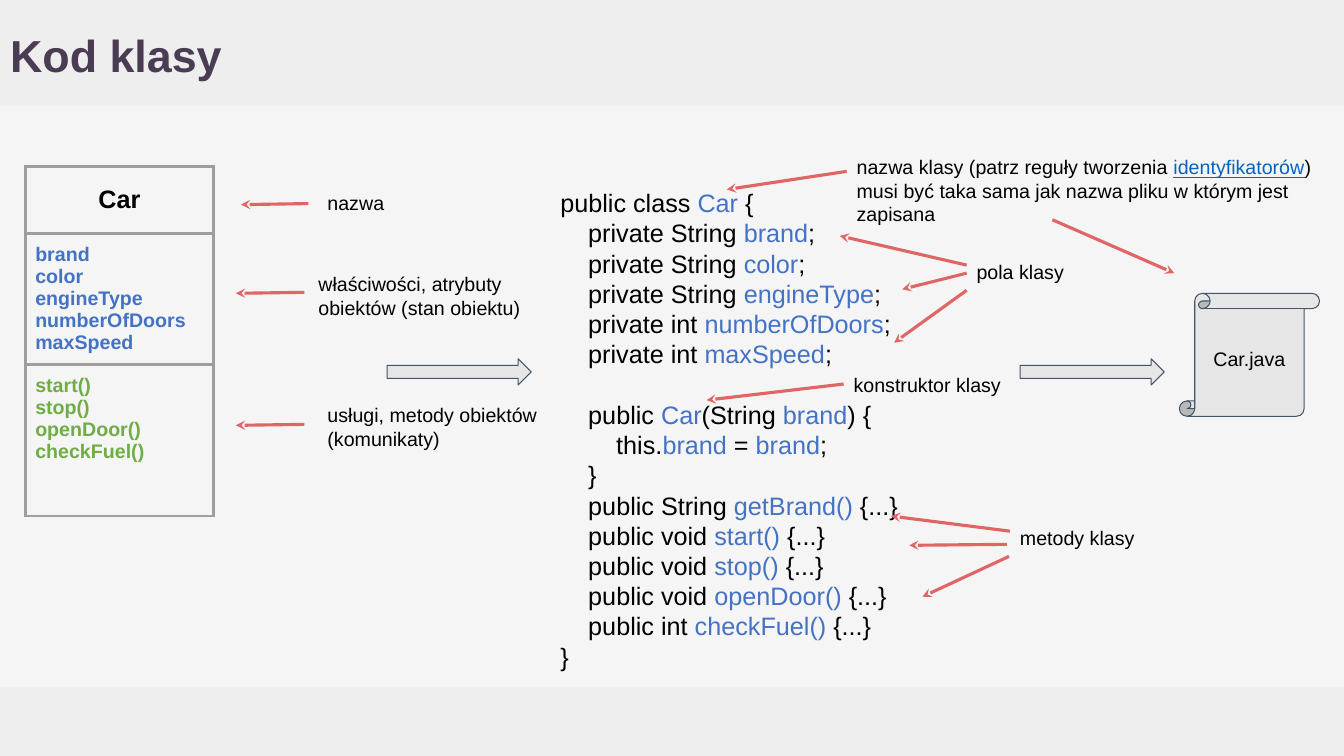
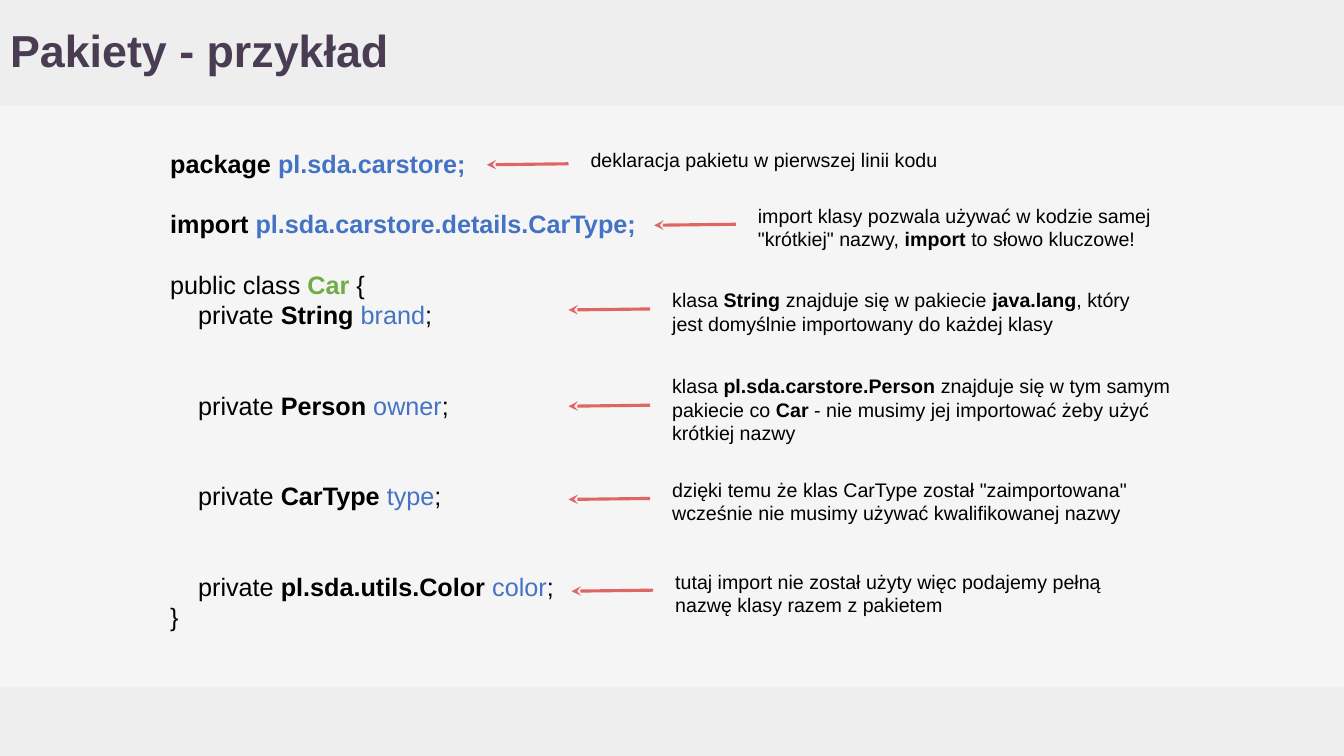
import pptx
import pptx.util
import pptx.dml.color
import pptx.enum.shapes
import pptx.enum.text
import pptx.oxml
import pptx.oxml.ns

# Grid: 133.33 columns by 75 rows of square cells
COLS, ROWS = 133.33, 75
CELL = pptx.util.Inches(0.1)
BAND, FOOT = 10.5, 6.8

FONT = "Arial"
BLACK, BLUE, GREEN = "000000", "4472C4", "70AD47"
PAPER, BAND_GREY, PLUM, RED = "F5F5F5", "EEEEEE", "4A3D53", "E06666"
SHAPE_GREY, SLATE, BORDER, LINK = "E7E6E6", "44546A", "9E9E9E", "0563C1"
CODE, NOTE = 18, 14
LINE_HEIGHT = 1.2

MSO = pptx.enum.shapes.MSO_SHAPE
ALIGN = pptx.enum.text.PP_ALIGN
ANCHOR = pptx.enum.text.MSO_ANCHOR


def g(n):
    return pptx.util.Emu(round(n * CELL))


def box(x, y, w, h):
    return g(x), g(y), g(w), g(h)


def rgb(value):
    return pptx.dml.color.RGBColor.from_string(value)


# Text: *bold*, ~blue~, ^green^ and _link_ switch a style on and off
def split_runs(text):
    on, part = set(), ""
    for ch in text:
        if ch in "*~^_":
            if part:
                yield part, set(on)
            on ^= {ch}
            part = ""
        else:
            part += ch
    if part:
        yield part, set(on)


def add_runs(p, text, size, color=BLACK, bold=False):
    for part, on in split_runs(text):
        r = p.add_run()
        r.text = part
        r.font.name = FONT
        r.font.size = pptx.util.Pt(size)
        r.font.bold = bold or "*" in on
        marks = {"~": BLUE, "^": GREEN, "_": LINK}
        r.font.color.rgb = rgb(next((marks[m] for m in marks if m in on), color))
        if "_" in on:
            r.font.underline = True


def write(tf, lines, size, color=BLACK, bold=False, align=ALIGN.LEFT):
    """Fill a text frame; an empty line becomes space before the next one."""
    p, gap = None, 0
    for line in lines:
        if not line:
            gap += 1
            continue
        p = tf.add_paragraph() if p is not None else tf.paragraphs[0]
        p.alignment = align
        if gap:
            p.space_before = pptx.util.Pt(gap * size * LINE_HEIGHT)
        gap = 0
        add_runs(p, line, size, color, bold)


def set_frame(tf, anchor=ANCHOR.TOP):
    tf.word_wrap = True
    tf.auto_size = pptx.enum.text.MSO_AUTO_SIZE.NONE
    tf.vertical_anchor = anchor
    tf.margin_left = tf.margin_right = tf.margin_top = tf.margin_bottom = g(1)


def add_text(slide, at, lines, size=NOTE):
    sp = slide.shapes.add_textbox(*box(*at))
    set_frame(sp.text_frame)
    write(sp.text_frame, lines, size)
    return sp


def add_shape(slide, kind, at, fill=SHAPE_GREY, line=SLATE):
    sp = slide.shapes.add_shape(kind, *box(*at))
    sp.shadow.inherit = False
    sp.fill.solid()
    sp.fill.fore_color.rgb = rgb(fill)
    if line:
        sp.line.color.rgb = rgb(line)
        sp.line.width = pptx.util.Pt(0.75)
    else:
        sp.line.fill.background()
    return sp


def add_arrow(slide, start, tip):
    """Red arrow from a point, or from the left side of a label, to its tip."""
    joined = not isinstance(start, tuple)
    x, y = (0, 0) if joined else start
    line = slide.shapes.add_connector(
        pptx.enum.shapes.MSO_CONNECTOR.STRAIGHT, g(x), g(y), g(tip[0]), g(tip[1]))
    if joined:
        line.begin_connect(start, 1)
    line.line.color.rgb = rgb(RED)
    line.line.width = pptx.util.Pt(2.25)
    ln = line.line._get_or_add_ln()
    pptx.oxml.ns.qn("a:tailEnd")
    ln.append(pptx.oxml.parse_xml(
        f'<a:tailEnd {pptx.oxml.ns.nsdecls("a")} type="stealth"/>'))
    line._element.spPr.append(pptx.oxml.parse_xml(
        f'<a:effectLst {pptx.oxml.ns.nsdecls("a")}/>'))


def set_borders(cell):
    tcPr = cell._tc.get_or_add_tcPr()
    width = pptx.util.Pt(2.25)
    for i, side in enumerate(("lnL", "lnR", "lnT", "lnB")):
        tcPr.insert(i, pptx.oxml.parse_xml(
            f'<a:{side} {pptx.oxml.ns.nsdecls("a")} w="{width}"><a:solidFill>'
            f'<a:srgbClr val="{BORDER}"/></a:solidFill></a:{side}>'))


def add_class_table(slide, x, y, width, sections):
    """One-column class diagram: (height, lines, size, colour) per section."""
    height = sum(s[0] for s in sections)
    table = slide.shapes.add_table(len(sections), 1, *box(x, y, width, height)).table
    table.first_row = table.horz_banding = False
    for i, (row, lines, size, color) in enumerate(sections):
        table.rows[i].height = g(row)
        cell = table.cell(i, 0)
        cell.fill.background()
        cell.margin_left = cell.margin_right = cell.margin_top = cell.margin_bottom = g(1)
        cell.vertical_anchor = ANCHOR.TOP if i else ANCHOR.MIDDLE
        write(cell.text_frame, lines, size, color, True,
              ALIGN.LEFT if i else ALIGN.CENTER)
        set_borders(cell)


# Shared look: background and bands live on the layout
def style_layout(layout, slide):
    layout.background.fill.solid()
    layout.background.fill.fore_color.rgb = rgb(PAPER)
    for y, h in ((0, BAND), (ROWS - FOOT, FOOT)):
        band = add_shape(slide, MSO.RECTANGLE, (0, y, COLS, h), BAND_GREY, None)
        layout.shapes._spTree.insert(2, band._element)


def add_slide(prs, layout, title, top=0):
    slide = prs.slides.add_slide(layout)
    sp = slide.shapes.title
    sp.left, sp.top, sp.width, sp.height = box(0, top, 119.2, BAND)
    set_frame(sp.text_frame, ANCHOR.MIDDLE)
    write(sp.text_frame, [title], 32, PLUM, True)
    sp.text_frame.paragraphs[0].line_spacing = 0.9
    return slide


def build_class_code(slide):
    # Class diagram and its notes
    add_class_table(slide, 2.5, 16.5, 18.7, [
        (6.7, ["Car"], 18, BLACK),
        (13, ["brand", "color", "engineType", "numberOfDoors", "maxSpeed"], NOTE, BLUE),
        (15, ["start()", "stop()", "openDoor()", "checkFuel()"], NOTE, GREEN)])
    for x, y, text, tail, tip in (
            (31.5, 17.9, "nazwa", (30.6, 20.2), (23.9, 20.3)),
            (30.6, 26, "właściwości, atrybuty obiektów (stan obiektu)",
             (30.2, 29), (23.4, 29.1)),
            (31.5, 39, "usługi, metody obiektów (komunikaty)",
             (30.2, 42.1), (23.4, 42.2))):
        add_text(slide, (x, y, 22.8, 3), [text])
        add_arrow(slide, tail, tip)

    # Source code
    add_text(slide, (54.6, 17.6, 43.5, 45.6), [
        "public class ~Car ~{",
        "    private String ~brand~;",
        "    private String ~color~;",
        "    private String ~engineType~;",
        "    private int ~numberOfDoors~;",
        "    private int ~maxSpeed~;",
        "",
        "    public ~Car~(String ~brand~) {",
        "        this.~brand~ = ~brand~;",
        "    }",
        "    public String ~getBrand()~ {...}",
        "    public void ~start()~ {...}",
        "    public void ~stop()~ {...}",
        "    public void ~openDoor()~ {...}",
        "    public int ~checkFuel()~ {...}",
        "}"], CODE)

    # Notes on the code
    add_text(slide, (84, 14.4, 47.8, 8.2), [
        "nazwa klasy (patrz reguły tworzenia _identyfikatorów_)",
        "musi być taka sama jak nazwa pliku w którym jest zapisana"])
    add_text(slide, (83.7, 36, 23.3, 3), ["konstruktor klasy"])
    fields = add_text(slide, (95.9, 24.8, 25.4, 3), ["pola klasy"])
    methods = add_text(slide, (100.2, 51.2, 23.3, 3), ["metody klasy"])
    for start, tip in (
            ((84, 17), (72.1, 18.8)), ((104.4, 21.8), (116.5, 27.1)),
            (fields, (83.3, 23.4)), ((95.9, 27.1), (89.5, 28.7)),
            ((95.9, 28.8), (88.7, 34)), ((83.7, 38.1), (70.1, 39.7)),
            (methods, (88.4, 51.2)), ((99.9, 54), (90.2, 54.1)),
            ((100.1, 55.2), (91.5, 59.2))):
        add_arrow(slide, start, tip)

    # Flow from diagram to code to file
    for x in (38.4, 101.2):
        add_shape(slide, MSO.RIGHT_ARROW, (x, 35.6, 14.3, 2.6))
    scroll = add_shape(slide, MSO.VERTICAL_SCROLL, (117, 29.1, 13.9, 12.2))
    set_frame(scroll.text_frame, ANCHOR.MIDDLE)
    write(scroll.text_frame, ["Car.java"], NOTE, align=ALIGN.CENTER)


def build_packages(slide):
    # Source code
    add_text(slide, (15.9, 13.7, 49, 54.3), [
        "*package ~pl.sda.carstore;~*",
        "",
        "*import ~pl.sda.carstore.details.CarType;~*",
        "",
        "public class *^Car ^*{",
        "    private *String *~brand~;",
        "", "",
        "    private *Person *~owner~;",
        "", "",
        "    private *CarType *~type~;",
        "", "",
        "    private *pl.sda.utils.Color *~color~;",
        "}"], CODE)

    # Notes, each with an arrow from its left side
    for x, y, w, h, text in (
            (57.6, 13.7, 36.8, 5.1, "deklaracja pakietu w pierwszej linii kodu"),
            (74.2, 19.2, 41.3, 6.1, 'import klasy pozwala używać w kodzie samej '
             '"krótkiej" nazwy, *import *to słowo kluczowe!'),
            (65.7, 27.6, 47.9, 6.1, "klasa *String *znajduje się w pakiecie "
             "*java.lang*, który jest domyślnie importowany do każdej klasy"),
            (65.7, 36.1, 51.7, 8.2, "klasa *pl.sda.carstore.Person *znajduje się "
             "w tym samym pakiecie co *Car *- nie musimy jej importować żeby użyć "
             "krótkiej nazwy"),
            (65.7, 46.4, 47.9, 6.1, 'dzięki temu że klas CarType został '
             '"zaimportowana" wcześnie nie musimy używać kwalifikowanej nazwy'),
            (66, 55.5, 46.1, 6.1, "tutaj import nie został użyty więc podajemy "
             "pełną nazwę klasy razem z pakietem")):
        add_text(slide, (x, y, w, h), [text])
        middle = y + h / 2
        add_arrow(slide, (x - 1.2, middle), (x - 9.3, middle + 0.1))


def main():
    prs = pptx.Presentation()
    prs.slide_width, prs.slide_height = g(COLS), g(ROWS)
    layout = prs.slide_layouts[5]
    class_code = add_slide(prs, layout, "Kod klasy", 0.5)
    style_layout(layout, class_code)
    build_class_code(class_code)
    build_packages(add_slide(prs, layout, "Pakiety - przykład"))
    prs.save("out.pptx")


if __name__ == "__main__":
    main()
